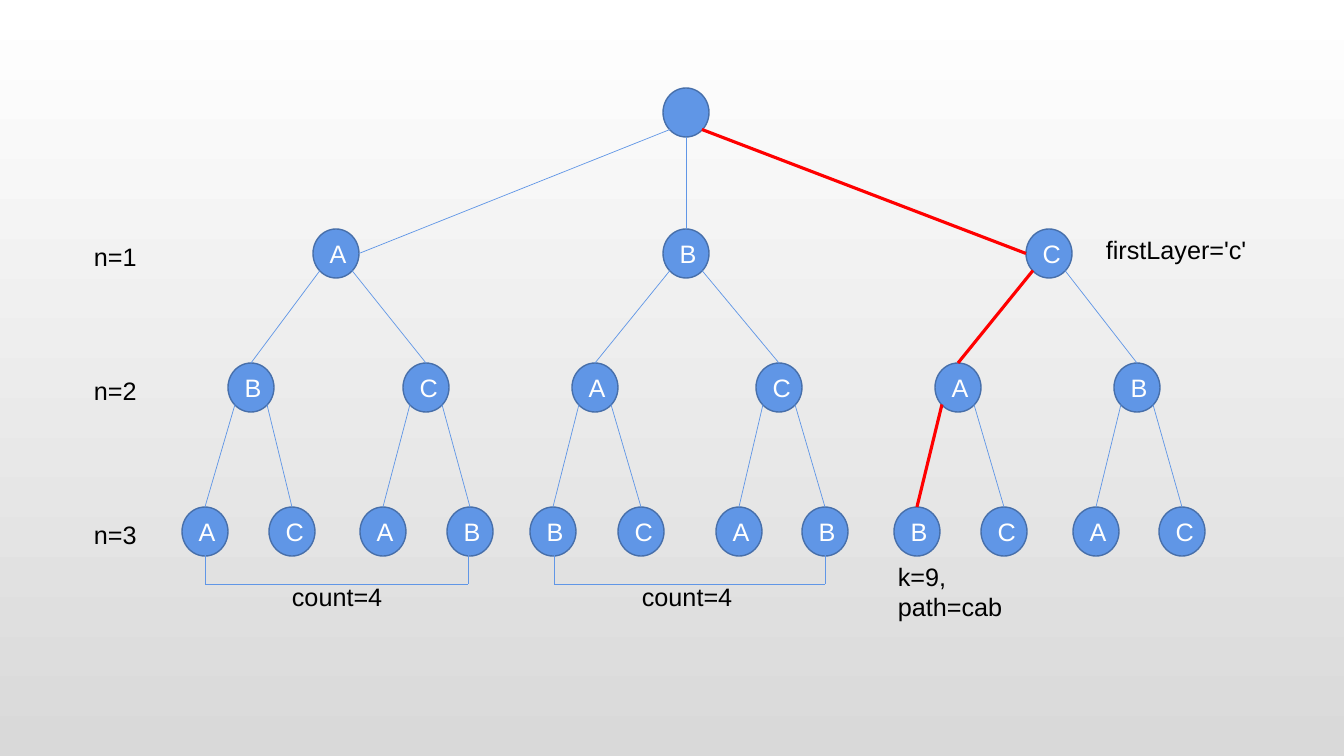
from lxml.etree import SubElement
from pptx import Presentation
from pptx.dml.color import RGBColor
from pptx.enum.shapes import MSO_CONNECTOR, MSO_SHAPE
from pptx.enum.text import MSO_ANCHOR, PP_ALIGN
from pptx.oxml.ns import qn
from pptx.util import Emu, Pt

BLUE, OUTLINE, RED = "6096E6", "476FAA", "FF0000"
WHITE, GREY, BLACK = "FFFFFF", "D9D9D9", "000000"
NODE_W, NODE_H = 46, 49
DIAG_X, DIAG_Y = 16, 17
LETTERS = "ABC"
ANSWER = "CAB"
LEVEL_TOPS = [88, 229, 363, 507]
LEVEL_LEFTS = [
    [663],
    [313, 663, 1026],
    [228, 403, 572, 756, 935, 1114],
    [182, 269, 360, 447, 530, 618, 716, 802, 894, 981, 1073, 1159],
]


def px(n):
    return Emu(round(n * 914400 / 100.8))


def rgb(color):
    return RGBColor.from_string(color)


class Slide:
    """Draws styled elements on one slide, measured in px."""

    def __init__(self, prs):
        self.font, self.size = "Arial", 18
        self.s = prs.slides.add_slide(prs.slide_layouts[6])

    def background(self, top, bottom):
        fill = self.s.background.fill
        fill.gradient()
        fill.gradient_angle = 270
        for stop, color in zip(fill.gradient_stops, (top, bottom)):
            stop.color.rgb = rgb(color)

    def text_run(self, p, text, color):
        r = p.add_run()
        r.text = text
        r.font.name, r.font.size = self.font, Pt(self.size)
        r.font.color.rgb = rgb(color)

    def node(self, x, y, letter):
        sp = self.s.shapes.add_shape(MSO_SHAPE.OVAL, px(x), px(y), px(NODE_W), px(NODE_H))
        sp.shadow.inherit = False
        sp.fill.solid()
        sp.fill.fore_color.rgb = rgb(BLUE)
        sp.line.color.rgb = rgb(OUTLINE)
        sp.line.width = Pt(1)
        if letter:
            tf = sp.text_frame
            tf.vertical_anchor = MSO_ANCHOR.MIDDLE
            p = tf.paragraphs[0]
            p.alignment = PP_ALIGN.CENTER
            self.text_run(p, letter, WHITE)

    def line(self, x1, y1, x2, y2, color=BLUE, width=0.5):
        cxn = self.s.shapes.add_connector(MSO_CONNECTOR.STRAIGHT, px(x1), px(y1), px(x2), px(y2))
        cxn.line.color.rgb = rgb(color)
        cxn.line.width = Pt(width)
        SubElement(cxn._element.spPr, qn("a:effectLst"))

    def bracket(self, left, right, top, bottom):
        self.line(left, top, left, bottom)
        self.line(right, top, right, bottom)
        self.line(right, bottom, left, bottom)

    def label(self, x, y, w, h, text):
        tf = self.s.shapes.add_textbox(px(x), px(y), px(w), px(h)).text_frame
        tf.word_wrap = True
        self.text_run(tf.paragraphs[0], text, BLACK)


def tree_levels():
    levels = [[""]]
    for _ in LETTERS:
        levels.append([prefix + c for prefix in levels[-1] for c in LETTERS if c != prefix[-1:]])
    return levels


def edge_points(parent, child):
    (x1, y1), (x2, y2) = parent, child
    side = (x2 > x1) - (x2 < x1)
    start = (x1 + side * DIAG_X, y1 + (DIAG_Y if side else NODE_H / 2))
    if side and y1 < LEVEL_TOPS[1]:
        return *start, x2 - side * NODE_W / 2, y2
    return *start, x2, y2 - NODE_H / 2


def main():
    prs = Presentation()
    prs.slide_width, prs.slide_height = px(1344), px(756)
    s = Slide(prs)
    s.background(WHITE, GREY)

    centers = {}
    for words, lefts, top in zip(tree_levels(), LEVEL_LEFTS, LEVEL_TOPS):
        for word, left in zip(words, lefts):
            s.node(left, top, word[-1:])
            centers[word] = (left + NODE_W / 2, top + NODE_H / 2)

    for word, center in centers.items():
        if word:
            style = (RED, 2.25) if ANSWER.startswith(word) else (BLUE, 0.5)
            s.line(*edge_points(centers[word[:-1]], center), *style)

    for left, right, label_left in [(205, 468, 282), (554, 825, 632)]:
        s.bracket(left, right, 555, 584)
        s.label(label_left, 576, 218, 40, "count=4")
    for n, top in enumerate(LEVEL_TOPS[1:], 1):
        s.label(84, top + 7, 70, 40, f"n={n}")
    s.label(1096, 229, 166, 40, "firstLayer='c'")
    s.label(888, 556, 144, 72, "k=9, path=cab")
    prs.save("out.pptx")


if __name__ == "__main__":
    main()
